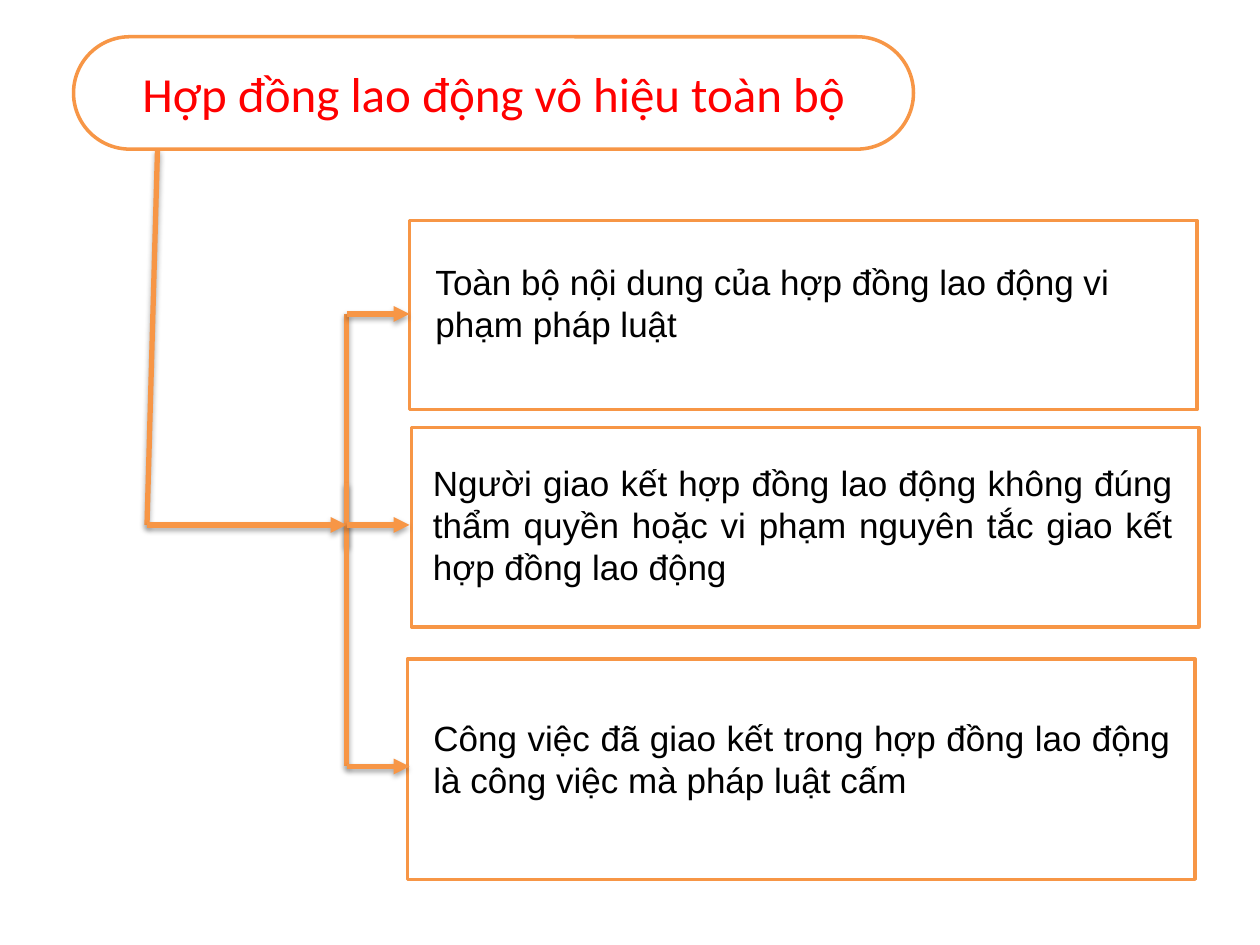
from lxml.etree import SubElement
from pptx import Presentation
from pptx.dml.color import RGBColor
from pptx.enum.shapes import MSO_CONNECTOR, MSO_SHAPE
from pptx.enum.text import MSO_ANCHOR, PP_ALIGN
from pptx.oxml.ns import qn
from pptx.util import Inches, Pt

ORANGE = RGBColor(0xF7, 0x96, 0x46)
WHITE = RGBColor(0xFF, 0xFF, 0xFF)
RED = RGBColor(0xFF, 0x00, 0x00)
BLACK = RGBColor(0x00, 0x00, 0x00)

# The page is a grid of 120 columns by 90 rows
COLUMNS, ROWS = 120, 90
WIDTH, HEIGHT = Inches(10), Inches(7.5)

TITLE_BOX = (7, 3.5, 80, 10.7)
TRUNK, MIDDLE_ROW = 33, 50

# Box, text inset from its left and top, text size, alignment, wording
REASONS = [
    ((39, 21, 75, 18), (1.3, 3.25), (72.85, 9.25), PP_ALIGN.LEFT,
     "Toàn bộ nội dung của hợp đồng lao động vi phạm pháp luật"),
    ((39.2, 40.7, 75, 19), (0.85, 2.65), (72.85, 13.3), PP_ALIGN.JUSTIFY,
     "Người giao kết hợp đồng lao động không đúng thẩm quyền hoặc "
     "vi phạm nguyên tắc giao kết hợp đồng lao động"),
    ((38.8, 62.75, 75, 21), (1.3, 4.9), (72.6, 9.25), PP_ALIGN.JUSTIFY,
     "Công việc đã giao kết trong hợp đồng lao động "
     "là công việc mà pháp luật cấm"),
]


def col(count):
    return round(WIDTH * count / COLUMNS)


def row(count):
    return round(HEIGHT * count / ROWS)


def place(left, top, width, height):
    return col(left), row(top), col(width), row(height)


def write(frame, text, *, font, size, color, align, wrap=True,
          anchor=MSO_ANCHOR.TOP):
    frame.word_wrap = wrap
    frame.vertical_anchor = anchor
    para = frame.paragraphs[0]
    para.alignment = align
    span = para.add_run()
    span.text = text
    span.font.name = font
    span.font.size = Pt(size)
    span.font.color.rgb = color


def add_outline(page, kind, box):
    shape = page.shapes.add_shape(kind, *place(*box))
    shape.shadow.inherit = False
    shape.fill.solid()
    shape.fill.fore_color.rgb = WHITE
    shape.line.color.rgb = ORANGE
    shape.line.width = Pt(2)
    return shape


def add_link(page, start, end, arrow=False):
    link = page.shapes.add_connector(
        MSO_CONNECTOR.STRAIGHT,
        col(start[0]), row(start[1]), col(end[0]), row(end[1]))
    link.line.color.rgb = ORANGE
    link.line.width = Pt(3)
    properties = link._element.spPr
    if arrow:
        SubElement(properties.find(qn("a:ln")), qn("a:tailEnd"), type="triangle")
    # Soft shadow straight below the line
    effects = SubElement(properties, qn("a:effectLst"))
    shadow = SubElement(effects, qn("a:outerShdw"), blurRad=str(Pt(3.1)),
                        dist=str(Pt(1.8)), dir="5400000", rotWithShape="0")
    shade = SubElement(shadow, qn("a:srgbClr"), val="000000")
    SubElement(shade, qn("a:alpha"), val="35000")


def add_title(page, box):
    shape = add_outline(page, MSO_SHAPE.ROUNDED_RECTANGLE, box)
    shape.adjustments[0] = 0.5
    write(shape.text_frame, "Hợp đồng lao động vô hiệu toàn bộ",
          font="Calibri", size=28, color=RED, align=PP_ALIGN.CENTER,
          wrap=False, anchor=MSO_ANCHOR.MIDDLE)


def add_reason(page, box, inset, size, align, text):
    add_outline(page, MSO_SHAPE.RECTANGLE, box)
    left, top = box[0] + inset[0], box[1] + inset[1]
    label = page.shapes.add_textbox(*place(left, top, *size))
    write(label.text_frame, text, font="Arial", size=20, color=BLACK, align=align)


def add_branches(page, title_box):
    left, top, _, height = title_box
    branch_end = 39
    top_row, bottom_row = 29.9, 73
    elbow = (left + 7, MIDDLE_ROW)
    # Trunk in two overlapping halves
    add_link(page, (TRUNK, top_row), (TRUNK, MIDDLE_ROW + 2))
    add_link(page, (TRUNK, MIDDLE_ROW - 4), (TRUNK, bottom_row))
    # From the title to the trunk
    add_link(page, (left + 8, top + height), elbow)
    add_link(page, elbow, (TRUNK, MIDDLE_ROW), arrow=True)
    # From the trunk to each reason
    for level in (top_row, MIDDLE_ROW, bottom_row):
        add_link(page, (TRUNK, level), (branch_end, level), arrow=True)


def main():
    deck = Presentation()
    deck.slide_width, deck.slide_height = WIDTH, HEIGHT
    page = deck.slides.add_slide(deck.slide_layouts[6])
    for reason in REASONS:
        add_reason(page, *reason)
    add_branches(page, TITLE_BOX)
    add_title(page, TITLE_BOX)
    deck.save("out.pptx")


if __name__ == "__main__":
    main()
